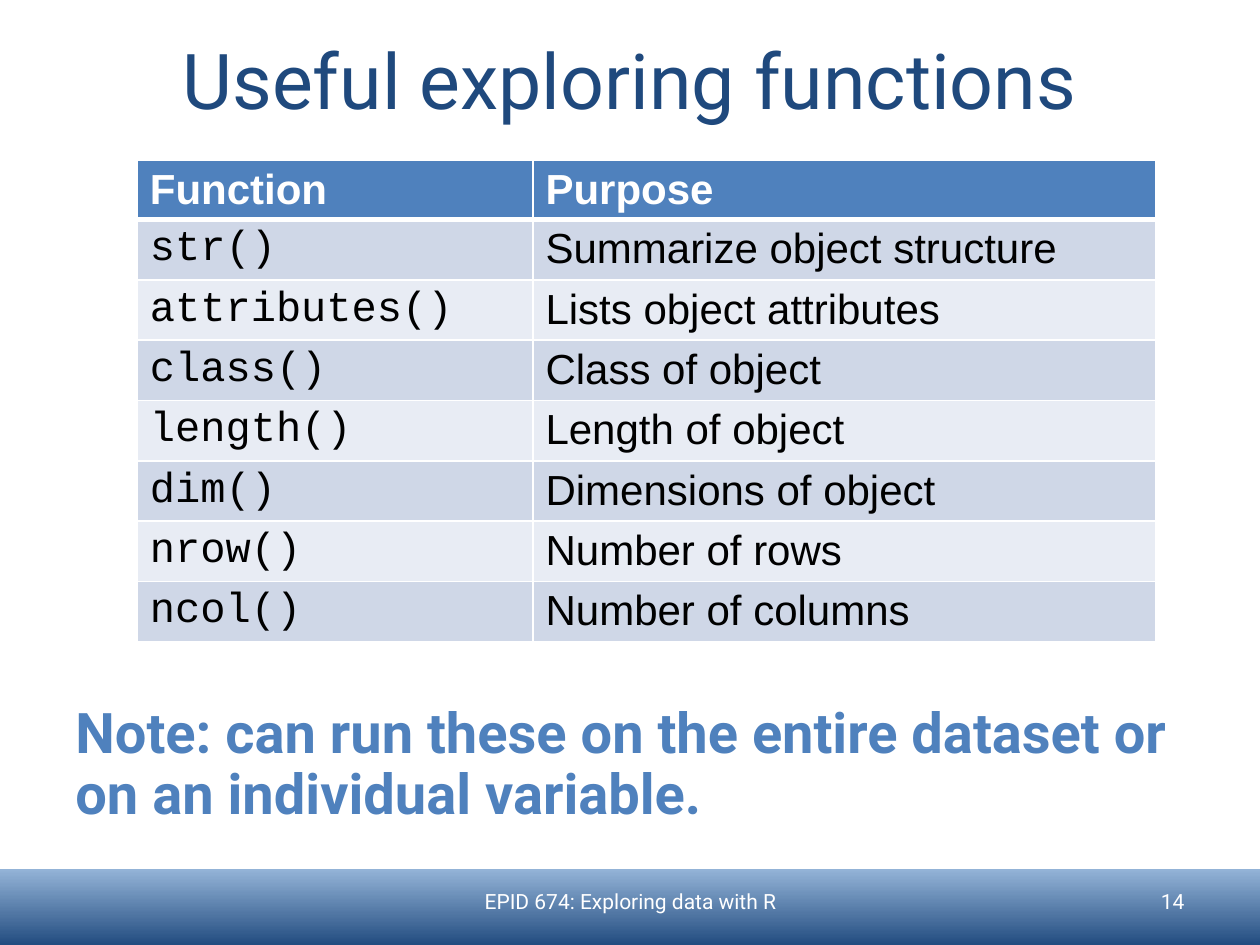
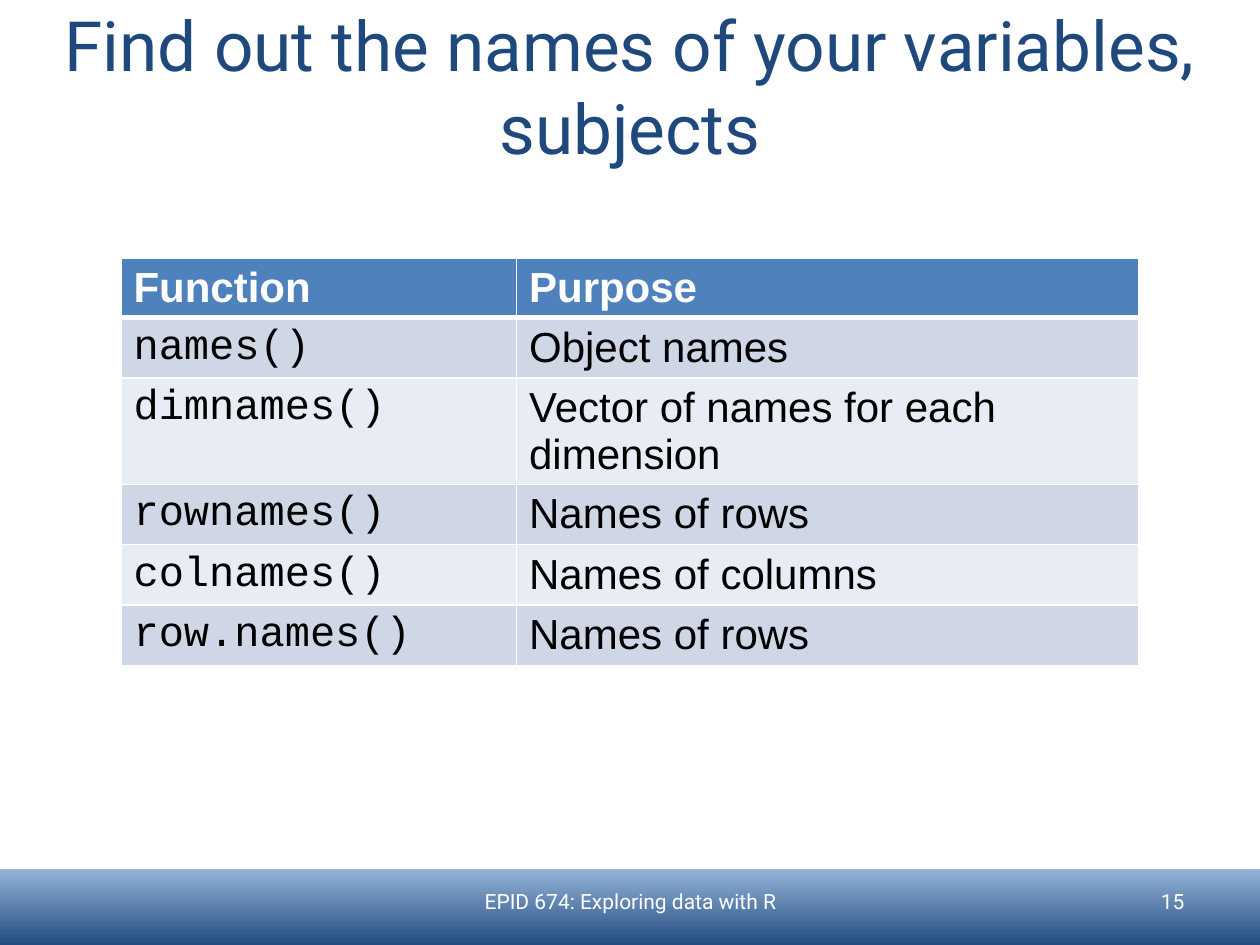
"""Builds two slides that list R functions for exploring data."""
import pptx
import pptx.util
import pptx.oxml
import pptx.oxml.ns
import pptx.dml.color
import pptx.enum.text
import pptx.enum.shapes

Inches = pptx.util.Inches
Pt = pptx.util.Pt
ALIGN = pptx.enum.text.PP_ALIGN
ANCHOR = pptx.enum.text.MSO_ANCHOR
HEX = {
    "navy": "1F497D", "sky": "93B3D7", "blue": "4F81BD", "white": "FFFFFF",
    "black": "000000", "odd": "CFD7E7", "even": "E8ECF4",
}
RGB = {name: pptx.dml.color.RGBColor.from_string(code) for name, code in HEX.items()}

TITLE = {"name": "Roboto", "size": Pt(44), "bold": False}
NOTE = {"name": "Roboto", "size": Pt(32), "bold": True}
FOOT = {"name": "Roboto", "size": Pt(12), "bold": False}
HEAD = {"name": "Arial", "size": Pt(24), "bold": True}
CODE = {"name": "Courier New", "size": Pt(24), "bold": False}
TEXT = {"name": "Arial", "size": Pt(24), "bold": False}
FRAME = {
    "word_wrap": True, "auto_size": pptx.enum.text.MSO_AUTO_SIZE.NONE,
    "vertical_anchor": ANCHOR.MIDDLE,
}

PAGES = [
    {
        "page": 14, "title": "Useful exploring functions", "top": 0, "size": 44,
        "spot": (1.09, 1.27),
        "rows": [
            ("str()", "Summarize object structure"),
            ("attributes()", "Lists object attributes"),
            ("class()", "Class of object"),
            ("length()", "Length of object"),
            ("dim()", "Dimensions of object"),
            ("nrow()", "Number of rows"),
            ("ncol()", "Number of columns"),
        ],
        "note": "Note: can run these on the entire dataset or on an individual variable.",
    },
    {
        "page": 15, "title": "Find out the names of your variables, subjects",
        "top": 0.05, "size": 39.6, "spot": (0.96, 2.05),
        "rows": [
            ("names()", "Object names"),
            ("dimnames()", "Vector of names for each dimension"),
            ("rownames()", "Names of rows"),
            ("colnames()", "Names of columns"),
            ("row.names()", "Names of rows"),
        ],
        "note": None,
    },
]
WIDTHS = (3.14, 4.94)
TALL = 0.41


def write(frame, text, look, color, align=ALIGN.LEFT):
    para = frame.paragraphs[0]
    para.alignment = align
    run = para.add_run()
    run.text = text
    for key, value in look.items():
        setattr(run.font, key, value)
    run.font.color.rgb = RGB[color]
    return para


def place(shape, spot, **extra):
    for key, value in zip(("left", "top", "width", "height"), spot):
        setattr(shape, key, Inches(value))
    for key, value in {**FRAME, **extra}.items():
        setattr(shape.text_frame, key, value)
    return shape.text_frame


deck = pptx.Presentation()
deck.slide_width, deck.slide_height = Inches(10), Inches(7.5)

for page in PAGES:
    slide = deck.slides.add_slide(deck.slide_layouts[5])
    shapes = slide.shapes

    band = shapes.add_shape(
        pptx.enum.shapes.MSO_SHAPE.RECTANGLE,
        0, Inches(6.9), Inches(10.02), Inches(0.62),
    )
    band.shadow.inherit = False
    band.line.fill.background()
    band.fill.gradient()
    band.fill.gradient_angle = 90
    for stop, shade in zip(band.fill.gradient_stops, ("navy", "sky")):
        stop.color.rgb = RGB[shade]

    frame = place(shapes.title, (0, page["top"], 10, 1.25))
    look = {**TITLE, "size": Pt(page["size"])}
    write(frame, page["title"], look, "navy", ALIGN.CENTER)

    if page["note"]:
        box = shapes.add_textbox(0, 0, 0, 0)
        frame = place(box, (0.5, 5.55, 9, 1.14), vertical_anchor=ANCHOR.TOP)
        write(frame, page["note"], NOTE, "blue").line_spacing = 0.9

    for text, left, width, align in (
        ("EPID 674: Exploring data with R", 3.42, 3.17, ALIGN.CENTER),
        (str(page["page"]), 7.17, 2.33, ALIGN.RIGHT),
    ):
        frame = place(shapes.add_textbox(0, 0, 0, 0), (left, 6.95, width, 0.4))
        write(frame, text, FOOT, "white", align)

    rows = [("Function", "Purpose")] + page["rows"]
    left, top = page["spot"]
    table = shapes.add_table(
        len(rows), len(WIDTHS), Inches(left), Inches(top),
        Inches(sum(WIDTHS)), Inches(TALL * len(rows)),
    ).table
    for col, width in zip(table.columns, WIDTHS):
        col.width = Inches(width)
    for i, row in enumerate(rows):
        table.rows[i].height = Inches(TALL)
        fill = "blue" if i == 0 else "odd" if i % 2 else "even"
        for j, text in enumerate(row):
            cell = table.cell(i, j)
            look = HEAD if i == 0 else (CODE, TEXT)[j]
            write(cell.text_frame, text, look, "black" if i else "white")
            props = cell._tc.get_or_add_tcPr()
            for side in ("lnL", "lnR", "lnT", "lnB"):
                thick = (i, side) in ((0, "lnB"), (1, "lnT"))
                props.append(pptx.oxml.parse_xml(
                    f'<a:{side} {pptx.oxml.ns.nsdecls("a")} w="{Pt(3 if thick else 1)}">'
                    f'<a:solidFill><a:srgbClr val="{HEX["white"]}"/></a:solidFill>'
                    f'</a:{side}>'
                ))
            cell.fill.solid()
            cell.fill.fore_color.rgb = RGB[fill]

deck.save("out.pptx")
